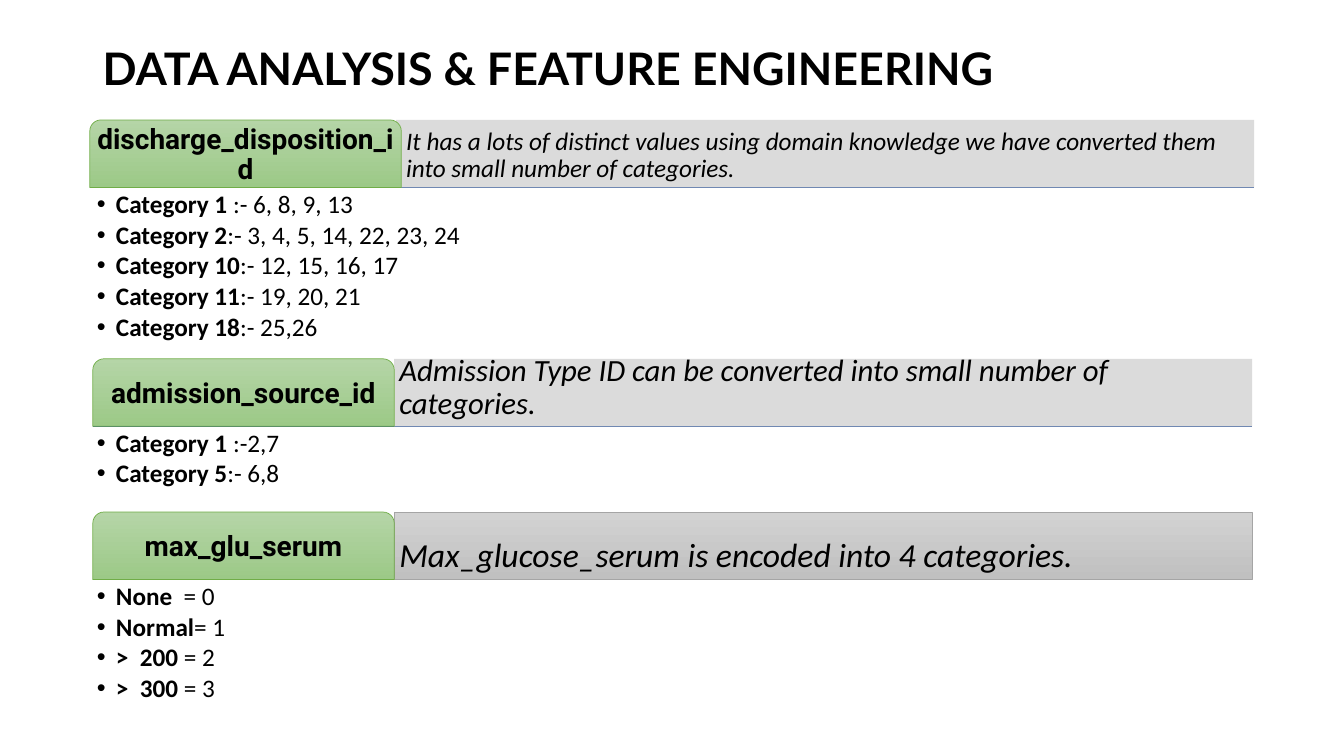
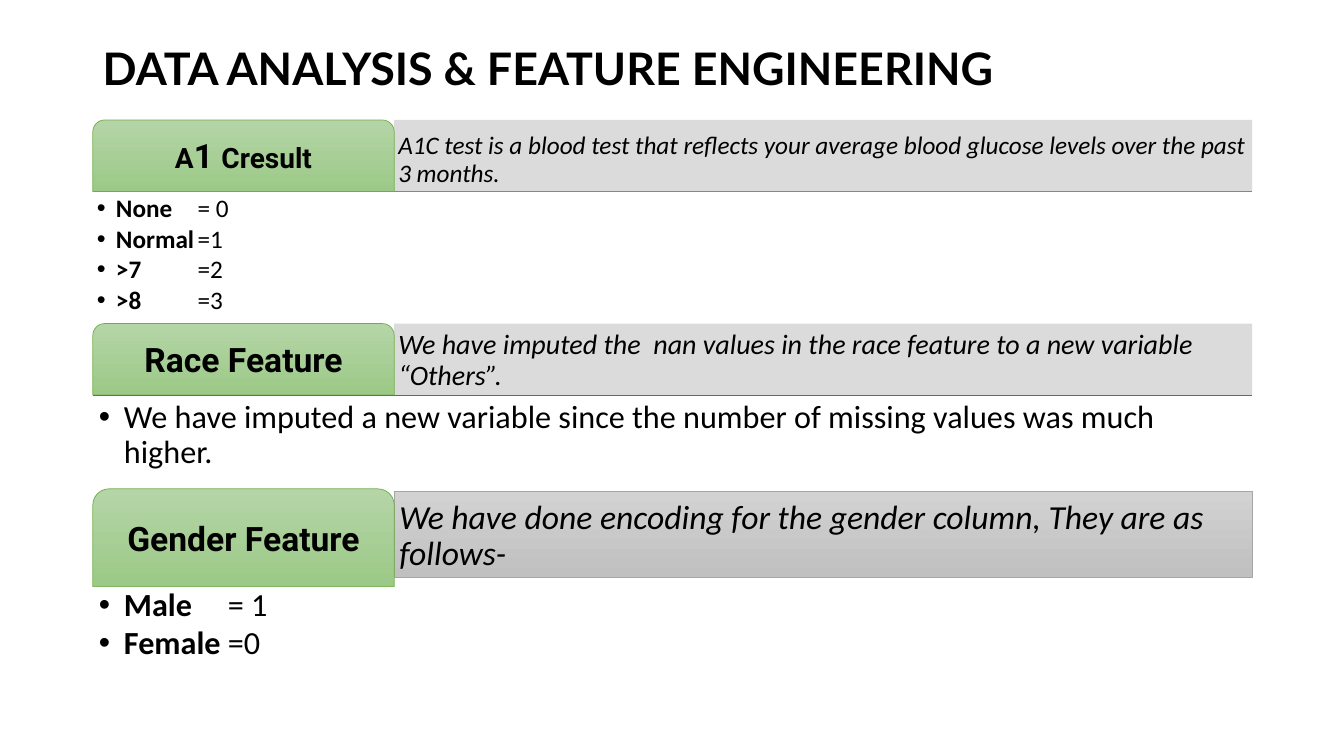
"""Build two slides on data analysis and feature engineering."""
from lxml import etree
from pptx import Presentation, util as u
from pptx.dml.color import RGBColor
from pptx.enum import shapes, text
from pptx.oxml import ns

PX = 9144
COLORS = {
    "ink": "000000", "rule": "365B9D", "band": "DBDBDB",
    "band_top": "D2D2D2", "band_bottom": "C0C0C0", "band_edge": "A5A5A5",
    "tab_top": "B5D5A7", "tab_bottom": "9CC987", "tab_edge": "70AD47",
}
TITLE = "DATA ANALYSIS & FEATURE ENGINEERING"
LEFT, TAB_WIDTH, BAND_WIDTH = 92, 299, 851
FULL_WIDTH = TAB_WIDTH + BAND_WIDTH


def color(name):
    """Return the named colour."""
    return RGBColor.from_string(COLORS[name])


def px(*lengths):
    """Turn px lengths into EMU."""
    return [u.Emu(length * PX) for length in lengths]


def set_frame(frame, anchor, inset):
    """Set wrapping, anchor and equal insets of a text frame."""
    frame.word_wrap = True
    frame.vertical_anchor = anchor
    margin = px(inset)[0]
    frame.margin_left = frame.margin_right = margin
    frame.margin_top = frame.margin_bottom = margin


def write(para, content, size, font="Calibri", bold=None, italic=None):
    """Write plain text into a paragraph and set its font."""
    para.line_spacing = 0.9
    para.font.name, para.font.size = font, u.Pt(size)
    para.font.bold, para.font.italic = bold, italic
    para.font.color.rgb = color("ink")
    if content:
        para.add_run().text = content


def add_title(page):
    """Add the slide title."""
    box = page.shapes.add_textbox(*px(LEFT, 40, 1176, 60))
    set_frame(box.text_frame, text.MSO_ANCHOR.MIDDLE, 10)
    write(box.text_frame.paragraphs[0], TITLE, 32, "Lato", bold=True)


def add_rule(page, left, top):
    """Add the thin line under a section heading."""
    rule = page.shapes.add_connector(
        shapes.MSO_CONNECTOR.STRAIGHT, *px(left, top, left + FULL_WIDTH, top))
    rule.line.color.rgb = color("rule")
    rule.line.width = u.Pt(1)
    etree.SubElement(rule._element.spPr, ns.qn("a:effectLst"))


def add_panel(page, kind, area, name, shaded):
    """Add a flat panel, or a shaded one with an edge."""
    panel = page.shapes.add_shape(kind, *px(*area))
    panel.shadow.inherit = False
    if shaded:
        panel.fill.gradient()
        panel.fill.gradient_angle = 270
        for stop, end in zip(panel.fill.gradient_stops, ("top", "bottom")):
            stop.color.rgb = color(f"{name}_{end}")
        panel.line.color.rgb = color(f"{name}_edge")
        panel.line.width = u.Pt(0.5)
    else:
        panel.fill.solid()
        panel.fill.fore_color.rgb = color(name)
        panel.line.fill.background()
    return panel


def add_tab(page, area, label, size):
    """Add a green tab whose label is text or a list of sized spans."""
    tab = add_panel(
        page, shapes.MSO_SHAPE.ROUND_2_SAME_RECTANGLE, area, "tab", True)
    set_frame(tab.text_frame, text.MSO_ANCHOR.MIDDLE, 4)
    para = tab.text_frame.paragraphs[0]
    para.alignment = text.PP_ALIGN.CENTER
    if isinstance(label, str):
        write(para, label, size, "Roboto", bold=True)
        return
    write(para, "", size, "Roboto", bold=True)
    for word, points in label:
        span = para.add_run()
        span.text = word
        span.font.size = u.Pt(points)


def add_band(page, area, note, size, shaded, indent):
    """Add the grey band with the note on a feature."""
    band = add_panel(page, shapes.MSO_SHAPE.RECTANGLE, area, "band", shaded)
    set_frame(band.text_frame, text.MSO_ANCHOR.BOTTOM, 4 if size < 22 else 5)
    band.text_frame.margin_left += px(indent)[0]
    para = band.text_frame.paragraphs[0]
    para.alignment = text.PP_ALIGN.LEFT
    write(para, note, size, italic=True)


def set_bullet(para, indent, tab_stop):
    """Give a paragraph a hanging bullet and an optional tab stop."""
    props = para._p.get_or_add_pPr()
    hang = px(indent)[0]
    props.set("marL", str(hang))
    props.set("indent", str(-hang))
    marks = [etree.Element(ns.qn("a:buFont"), typeface="Arial"),
             etree.Element(ns.qn("a:buChar"), char="•")]
    if tab_stop:
        stops = etree.Element(ns.qn("a:tabLst"))
        etree.SubElement(stops, ns.qn("a:tab"),
                         pos=str(px(tab_stop)[0]), algn="l")
        marks.append(stops)
    default_font = props.find(ns.qn("a:defRPr"))
    for mark in marks:
        default_font.addprevious(mark)


def add_list(page, top, rows, size, tab_stop):
    """Add bulleted rows, each a bold key and a plain value."""
    large = size > 20
    box = page.shapes.add_textbox(*px(LEFT, top, FULL_WIDTH, 31 * len(rows)))
    frame = box.text_frame
    set_frame(frame, text.MSO_ANCHOR.TOP, 6 if large else 4)
    for index, (key, value) in enumerate(rows):
        para = frame.add_paragraph() if index else frame.paragraphs[0]
        write(para, "", size)
        para.space_after = u.Pt(2.5)
        set_bullet(para, 25 if large else 19, tab_stop)
        for words, bold in ((key, True), (value, False)):
            if words:
                span = para.add_run()
                span.text = words
                span.font.bold = bold


def add_section(page, top, height, label, note, note_size, rows,
                label_size=20, row_size=18, shaded=False, rule=True,
                tab_area=None, band_left=LEFT + TAB_WIDTH, indent=0,
                list_top=None, tab_stop=None):
    """Add one feature: rule, band, tab and list."""
    bottom = top + height
    if rule:
        add_rule(page, band_left - TAB_WIDTH, bottom)
    add_band(page, (band_left, top, BAND_WIDTH, height),
             note, note_size, shaded, indent)
    add_tab(page, tab_area or (LEFT, top, TAB_WIDTH, height),
            label, label_size)
    add_list(page, list_top or bottom, rows, row_size, tab_stop)


def add_id_page(page):
    """Fill the page on identifiers and glucose serum."""
    add_title(page)
    add_section(
        page, 119, 67, "discharge_disposition_id",
        "It has a lots of distinct values using domain knowledge we have "
        "converted them into small number of categories.", 18,
        [("Category 1 ", ":- 6, 8, 9, 13"),
         ("Category 2", ":- 3, 4, 5, 14, 22, 23, 24"),
         ("Category 10", ":- 12, 15, 16, 17"),
         ("Category 11", ":- 19, 20, 21"),
         ("Category 18", ":- 25,26")],
        tab_area=(89, 119, 309, 67), band_left=393, indent=6)
    add_section(
        page, 356, 67, "admission_source_id",
        "Admission Type ID can be converted into small number of categories.",
        22, [("Category 1 ", ":-2,7"), ("Category 5", ":- 6,8")])
    add_section(
        page, 508, 67, "max_glu_serum",
        "Max_glucose_serum is encoded into 4 categories.", 24,
        [("None", "  = 0"), ("Normal", "= 1"),
         (">  200", " = 2"), (">  300", " = 3")], shaded=True)


def add_encoding_page(page):
    """Fill the page on test result, race and gender."""
    add_title(page)
    add_section(
        page, 119, 71, [("A", 20), ("1 ", 24), ("Cresult", 20)],
        "A1C test is a blood test that reflects your average blood glucose "
        "levels over the past 3 months.", 18,
        [("None", "\t= 0"), ("Normal", "\t=1"), (">7", "\t=2"),
         (">8", "\t=3")], tab_stop=100)
    add_section(
        page, 321, 71, "Race Feature",
        "We have imputed the  nan values in the race feature to a new "
        "variable “Others”.", 20,
        [("", "We have imputed a new variable since the number of missing "
          "values was much higher.")], label_size=24, row_size=23)
    add_section(
        page, 487, 86, "Gender Feature",
        "We have done encoding for the gender column, They are as follows-",
        24, [("Male", "\t= 1"), ("Female", "\t=0")],
        label_size=24, row_size=23, shaded=True, rule=False,
        tab_area=(LEFT, 485, TAB_WIDTH, 97), list_top=578, tab_stop=128)


def main():
    """Build and save the deck."""
    deck = Presentation()
    deck.slide_width, deck.slide_height = px(1333, 750)
    for fill_page in (add_id_page, add_encoding_page):
        fill_page(deck.slides.add_slide(deck.slide_layouts[6]))
    deck.save("out.pptx")


if __name__ == "__main__":
    main()
